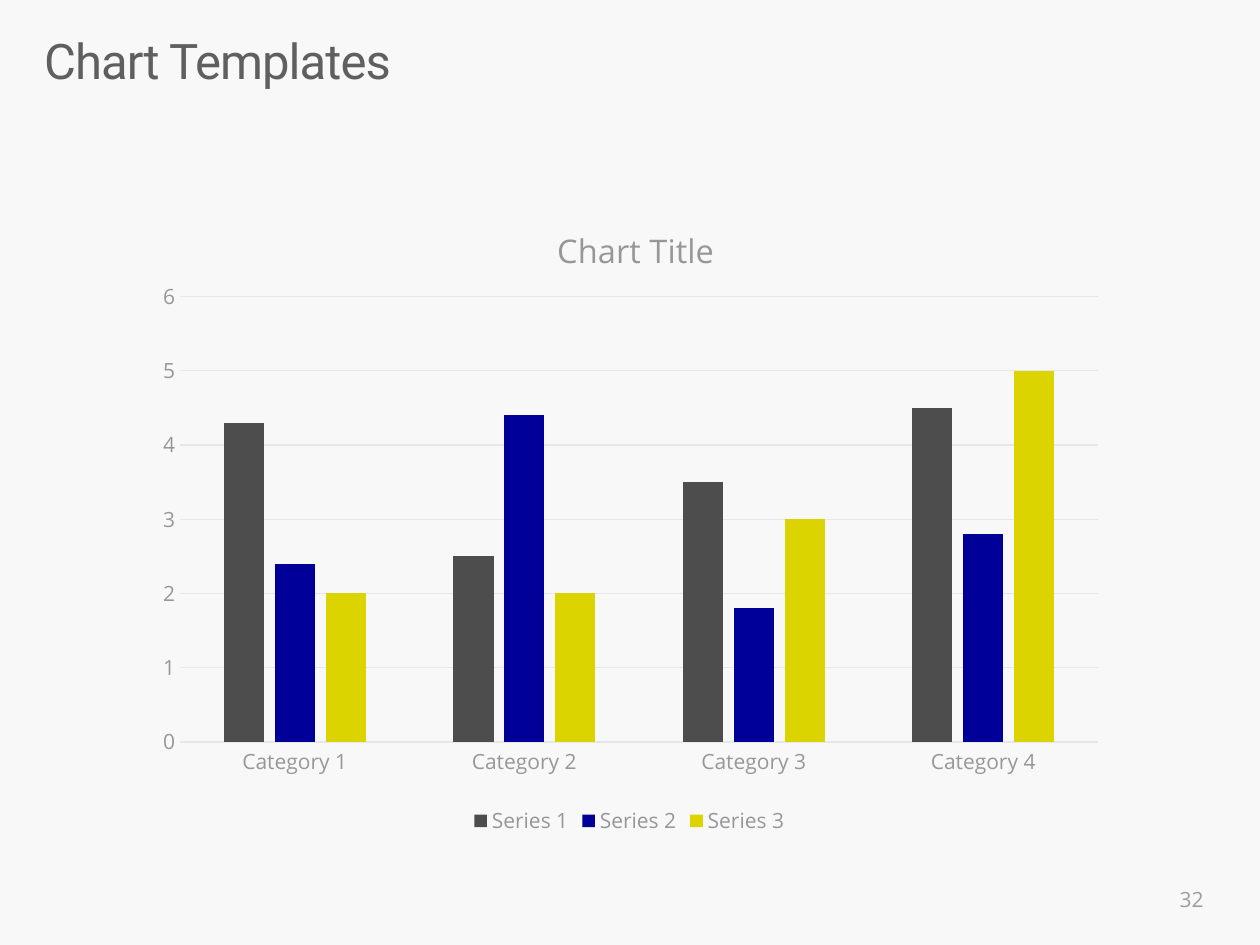
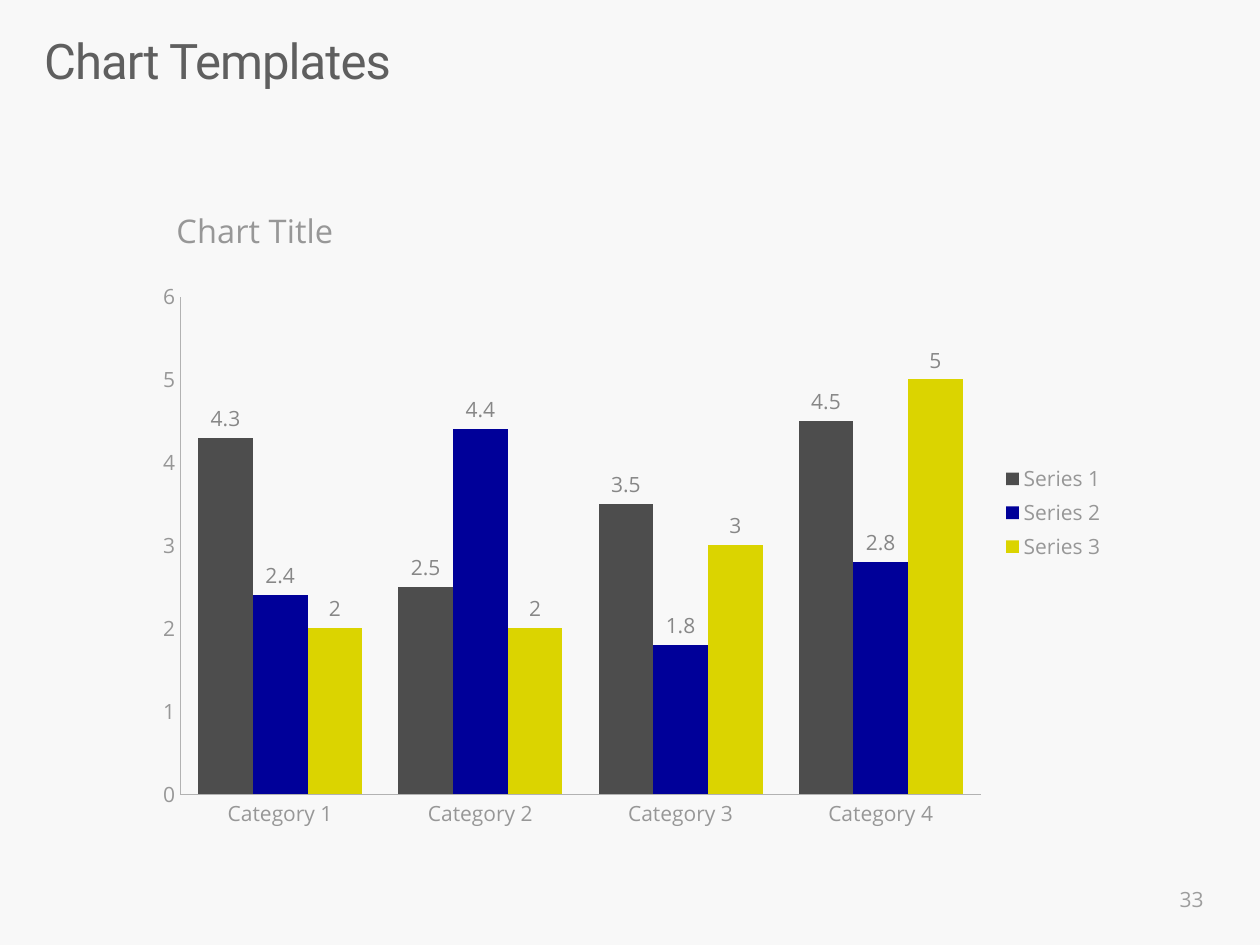
from pptx import Presentation
from pptx.chart.data import CategoryChartData
from pptx.dml.color import RGBColor
from pptx.enum.chart import XL_CHART_TYPE as ChartType
from pptx.enum.chart import XL_LABEL_POSITION as LabelPos
from pptx.enum.chart import XL_LEGEND_POSITION as LegendPos
from pptx.enum.chart import XL_TICK_MARK as TickMark
from pptx.enum.text import MSO_ANCHOR, PP_ALIGN
from pptx.oxml import parse_xml
from pptx.oxml.ns import nsdecls, qn
from pptx.util import Inches, Pt

BACKGROUND = "F8F8F8"
TITLE_COLOR = "5F5F5F"
NUMBER_COLOR = "9D9D9D"
CHART_TEXT = "979797"
LABEL_COLOR = "878787"
GRID = "E7E7E7"
AXIS = "B2B2B2"
HEAD_FONT, BODY_FONT = "Roboto", "Open Sans"

TITLE_BOX = (0.35, 0.31, 9.29, 0.89)
NUMBER_BOX = (7.4, 6.94, 2.25, 0.4)
CHART_BOX = (1.12, 1.47, 7.75, 5.2)

CATEGORIES = [f"Category {i}" for i in range(1, 5)]
SERIES = [
    ("Series 1", (4.3, 2.5, 3.5, 4.5), "4D4D4D"),
    ("Series 2", (2.4, 4.4, 1.8, 2.8), "000099"),
    ("Series 3", (2, 2, 3, 5), "DBD400"),
]


def rgb(color):
    return RGBColor.from_string(color)


def inches(box):
    return [Inches(v) for v in box]


def style_font(font, size, color, name=BODY_FONT):
    font.size = Pt(size)
    font.name = name
    font.bold = False
    font.color.rgb = rgb(color)


def style_line(line, color):
    line.color.rgb = rgb(color)
    line.width = Pt(0.75)


def add_text(slide, box, text, size, color, font):
    """Add a one-paragraph text box; return its frame and paragraph."""
    tf = slide.shapes.add_textbox(*inches(box)).text_frame
    tf.word_wrap = True
    p = tf.paragraphs[0]
    p.text = text
    style_font(p.font, size, color, font)
    return tf, p


def add_title(slide, box, text):
    tf, p = add_text(slide, box, text, 28, TITLE_COLOR, HEAD_FONT)
    tf.margin_left = tf.margin_top = tf.margin_right = tf.margin_bottom = 0
    p.line_spacing = 0.86
    p.runs[0].font._element.set("spc", "-50")


def add_number(slide, box, number):
    tf, p = add_text(slide, box, str(number), 12, NUMBER_COLOR, BODY_FONT)
    tf.vertical_anchor = MSO_ANCHOR.MIDDLE
    p.alignment = PP_ALIGN.RIGHT


def set_layout(element, inner=False, **fractions):
    """Place a chart part by fractions of the chart's size."""
    target = '<c:layoutTarget val="inner"/>' if inner else ""
    modes = '<c:xMode val="edge"/><c:yMode val="edge"/>'
    places = "".join(f'<c:{k} val="{v}"/>' for k, v in fractions.items())
    layout = parse_xml(
        f'<c:layout {nsdecls("c")}><c:manualLayout>{target}{modes}{places}'
        "</c:manualLayout></c:layout>")
    old = element.find(qn("c:layout"))
    if old is None:
        element.insert(0, layout)
    else:
        element.replace(old, layout)


def style_axis(axis, line_color):
    axis.major_tick_mark = axis.minor_tick_mark = TickMark.NONE
    style_font(axis.tick_labels.font, 12, CHART_TEXT)
    if line_color:
        style_line(axis.format.line, line_color)
    else:
        axis.format.line.fill.background()


def add_column_chart(slide, box, title_at, plot, legend, gap, overlap=0,
                     category_line=AXIS, value_line=AXIS, grid=False, labels=False):
    data = CategoryChartData()
    data.categories = CATEGORIES
    for name, values, _ in SERIES:
        data.add_series(name, values)
    chart = slide.shapes.add_chart(
        ChartType.COLUMN_CLUSTERED, *inches(box), data).chart
    style_font(chart.font, 10, TITLE_COLOR)

    p = chart.chart_title.text_frame.paragraphs[0]
    p.text = "Chart Title"
    style_font(p.font, 18.6, CHART_TEXT)
    set_layout(chart.chart_title.element, x=title_at[0], y=title_at[1])
    chart.chart_title.include_in_layout = False
    set_layout(chart.element.find(".//" + qn("c:plotArea")), inner=True,
               **dict(zip("xywh", plot)))

    chart.has_legend = True
    chart.legend.position = legend
    chart.legend.include_in_layout = False
    style_font(chart.legend.font, 12, CHART_TEXT)

    style_axis(chart.category_axis, category_line)
    axis = chart.value_axis
    style_axis(axis, value_line)
    axis.minimum_scale, axis.maximum_scale, axis.major_unit = 0, 6, 1
    axis.has_major_gridlines = grid
    if grid:
        style_line(axis.major_gridlines.format.line, GRID)

    bars = chart.plots[0]
    bars.gap_width, bars.overlap = gap, overlap
    bars.vary_by_categories = False
    for series, (_, _, color) in zip(bars.series, SERIES):
        series.format.fill.solid()
        series.format.fill.fore_color.rgb = rgb(color)
        if labels:
            series.data_labels.show_value = True
            series.data_labels.position = LabelPos.OUTSIDE_END
            style_font(series.data_labels.font, 12, LABEL_COLOR)


def add_chart_slide(prs, number, **chart_style):
    slide = prs.slides.add_slide(prs.slide_layouts[6])
    slide.background.fill.solid()
    slide.background.fill.fore_color.rgb = rgb(BACKGROUND)
    add_title(slide, TITLE_BOX, "Chart Templates")
    add_number(slide, NUMBER_BOX, number)
    add_column_chart(slide, CHART_BOX, **chart_style)


def main():
    prs = Presentation()
    prs.slide_width, prs.slide_height = Inches(10), Inches(7.5)
    add_chart_slide(prs, 32, title_at=(0.42, 0.05), plot=(0.04, 0.17, 0.94, 0.68),
                    legend=LegendPos.BOTTOM, gap=219, overlap=-27,
                    category_line=GRID, value_line=None, grid=True)
    add_chart_slide(prs, 33, title_at=(0.03, 0.02), plot=(0.04, 0.17, 0.82, 0.76),
                    legend=LegendPos.RIGHT, gap=66, labels=True)
    prs.save("out.pptx")


if __name__ == "__main__":
    main()
